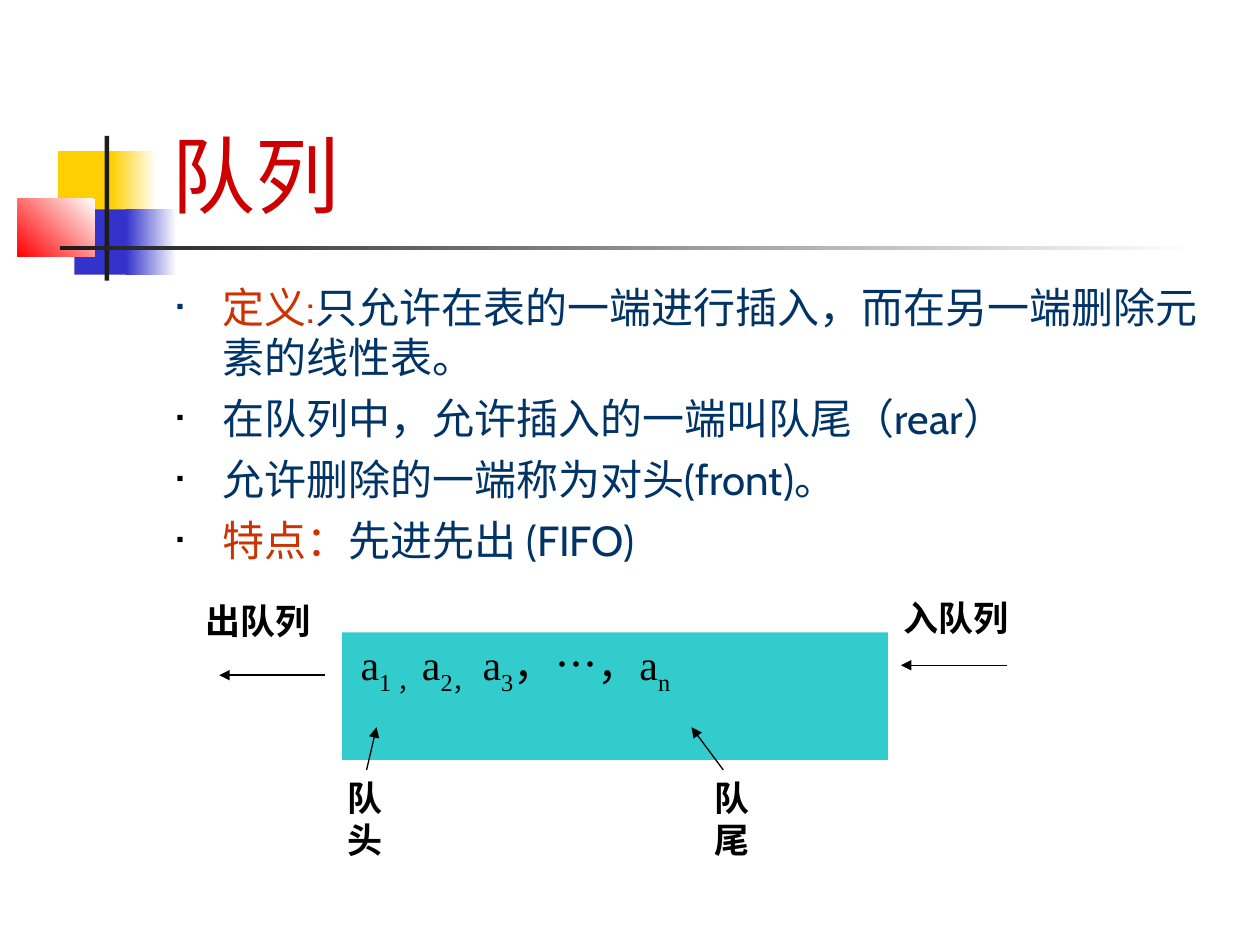
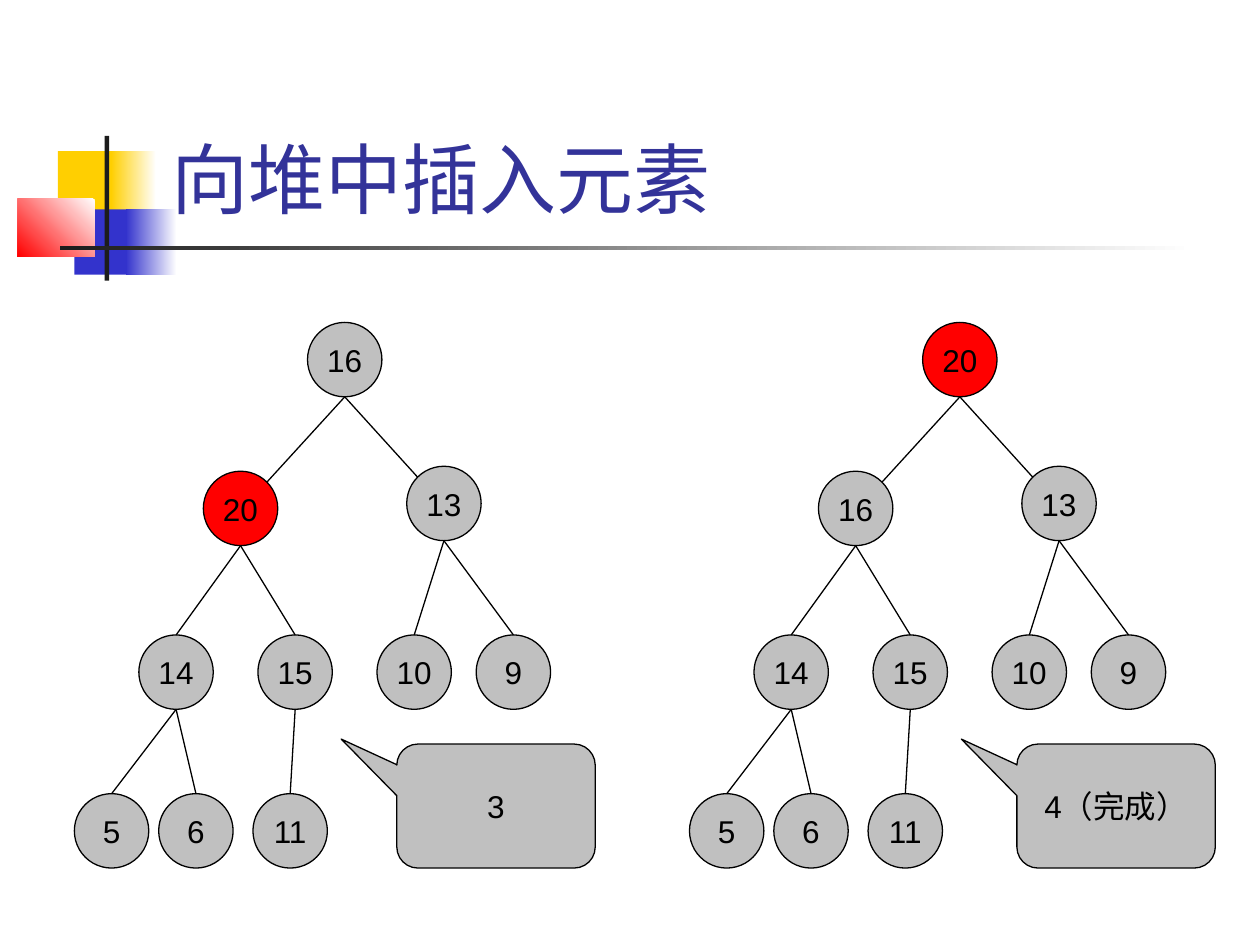
"""Build two data-structure slides: the queue and insertion into a heap."""
from pptx import Presentation
from pptx.dml.color import RGBColor
from pptx.enum.shapes import MSO_CONNECTOR, MSO_SHAPE
from pptx.enum.text import MSO_ANCHOR, MSO_AUTO_SIZE, PP_ALIGN
from pptx.oxml.xmlchemy import OxmlElement
from pptx.util import Cm, Pt

RECT, OVAL = MSO_SHAPE.RECTANGLE, MSO_SHAPE.OVAL
CALLOUT = MSO_SHAPE.ROUNDED_RECTANGULAR_CALLOUT
STRAIGHT = MSO_CONNECTOR.STRAIGHT
TOP, MIDDLE, BOTTOM = MSO_ANCHOR.TOP, MSO_ANCHOR.MIDDLE, MSO_ANCHOR.BOTTOM
LEFT, CENTER = PP_ALIGN.LEFT, PP_ALIGN.CENTER
NO_FIT = MSO_AUTO_SIZE.NONE
TITLE_AND_BODY, TITLE_ONLY = 1, 5

COLORS = {
    "white": "FFFFFF", "black": "000000", "ink": "1C1C1C", "yellow": "FFCF01",
    "blue": "3333CC", "red": "FF0000", "crimson": "CC0000", "rust": "CC3300",
    "navy": "003366", "indigo": "333399", "teal": "33CCCC", "gray": "C0C0C0",
}
HEADING_FONT, QUEUE_FONT, HEAP_FONT = "Cabin", "Times New Roman", "Arial"
SUBSCRIPT = "-25000"

BAND = [
    ((1.17, 3.05, 1.22, 1.32), "yellow", None),
    ((2.24, 3.05, 0.91, 1.32), "yellow", 180),
    ((1.5, 4.22, 1.17, 1.32), "blue", None),
    ((2.54, 4.22, 1.02, 1.32), "blue", 180),
    ((0.36, 4.01, 1.55, 1.17), "red", 225),
    ((2.11, 2.74, 0.09, 2.92), "ink", None),
    ((1.22, 4.95, 22.86, 0.1), "ink", 180),
]

QUEUE_FACTS = [
    [("定义:", "rust"), ("只允许在表的一端进行插入，而在另一端删除元素的线性表。", "navy")],
    [("在队列中，允许插入的一端叫队尾（rear）", "navy")],
    [("允许删除的一端称为对头(front)。", "navy")],
    [("特点：", "rust"), ("先进先出 (FIFO)", "navy")],
]
QUEUE_ITEMS = [("a", False), ("1 ，", True), ("a", False), ("2， ", True),
               ("a", False), ("3", True), ("，…，a", False), ("n", True)]
QUEUE_LABELS = [
    ((3.89, 11.96, 2.74, 1.12), ["出队列"]),
    ((17.96, 11.91, 2.74, 1.12), ["入队列"]),
    ((6.76, 15.52, 1.14, 1.96), ["队", "头"]),
    ((14.15, 15.52, 1.07, 1.96), ["队", "尾"]),
]
QUEUE_ARROWS = [
    ((6.55, 13.61), (4.42, 13.61)), ((20.3, 13.41), (18.16, 13.41)),
    ((7.39, 15.52), (7.59, 14.66)), ((14.58, 15.52), (13.94, 14.66)),
]

NODE_SIZE = 1.5
NODE_SPOTS = [(6.2, 6.5), (4.1, 9.5), (8.2, 9.4), (2.8, 12.8), (5.2, 12.8),
              (7.6, 12.8), (9.6, 12.8), (1.5, 16), (3.2, 16), (5.1, 16)]
LOWER_KEYS = [14, 15, 10, 9, 5, 6, 11]
HEAP_STEPS = [(0, [16, 20, 13], 8, "3"), (12.4, [20, 16, 13], 20.5, "4（完成）")]
INSERTED_KEY = 20


class Deck:
    """Hold the shared style and the slide being filled."""

    def __init__(self):
        """Open a presentation of 10 by 7.5 inches."""
        self.prs = Presentation()
        self.prs.slide_width, self.prs.slide_height = Cm(25.4), Cm(19.05)
        self.slide = None

    def color(self, name):
        """Return a named colour."""
        return RGBColor.from_string(COLORS[name])

    def new_slide(self, layout):
        """Start a slide, dressing the master before the first one."""
        first = self.slide is None
        self.slide = self.prs.slides.add_slide(self.prs.slide_layouts[layout])
        if first:
            self.band()

    def band(self):
        """Put the coloured squares and rules on the master."""
        tree = self.prs.slide_master.shapes.element
        for order, (box, color, angle) in enumerate(BAND):
            piece = self.shape(RECT, box, color)
            if angle is not None:
                piece.fill.gradient()
                piece.fill.gradient_angle = angle
                for stop, name in zip(piece.fill.gradient_stops, ("white", color)):
                    stop.color.rgb = self.color(name)
            piece.element.nvSpPr.cNvPr.set("id", str(20 + order))
            tree.insert(2 + order, piece.element)

    def run(self, paragraph, text, font, size, color="black", bold=False):
        """Add one styled run."""
        run = paragraph.add_run()
        run.text = text
        run.font.name, run.font.size, run.font.bold = font, Pt(size), bold
        run.font.color.rgb = self.color(color)
        return run

    def place(self, holder, box):
        """Move a placeholder and return its text frame."""
        holder.left, holder.top, holder.width, holder.height = map(Cm, box)
        holder.text_frame.auto_size = NO_FIT
        return holder.text_frame

    def title(self, text, box, size, color):
        """Fill the title placeholder."""
        frame = self.place(self.slide.shapes.title, box)
        frame.vertical_anchor = BOTTOM
        frame.paragraphs[0].alignment = LEFT
        self.run(frame.paragraphs[0], text, HEADING_FONT, size, color)

    def bullet(self, paragraph, color):
        """Give a paragraph a small square bullet and a hanging indent."""
        props = paragraph._p.get_or_add_pPr()
        props.set("marL", str(Cm(0.94)))
        props.set("indent", str(Cm(-0.94)))
        tint = OxmlElement("a:buClr")
        rgb = OxmlElement("a:srgbClr")
        rgb.set("val", COLORS[color])
        tint.append(rgb)
        props.append(tint)
        for tag, key, value in (("a:buSzPct", "val", "50000"),
                                ("a:buFont", "typeface", HEAP_FONT),
                                ("a:buChar", "char", "▪")):
            part = OxmlElement(tag)
            part.set(key, value)
            props.append(part)

    def body(self, items, box):
        """Fill the body placeholder with bulleted items."""
        frame = self.place(self.slide.placeholders[1], box)
        for index, item in enumerate(items):
            line = frame.add_paragraph() if index else frame.paragraphs[0]
            line.space_before = Pt(6 if index else 0)
            self.bullet(line, "black" if index else "navy")
            for text, color in item:
                self.run(line, text, HEADING_FONT, 24, color)

    def shape(self, kind, box, fill, outline=None):
        """Add a filled preset shape."""
        shape = self.slide.shapes.add_shape(kind, *map(Cm, box))
        shape.shadow.inherit = False
        shape.fill.solid()
        shape.fill.fore_color.rgb = self.color(fill)
        if outline:
            shape.line.color.rgb = self.color(outline)
            shape.line.width = Pt(0.75)
        else:
            shape.line.fill.background()
        return shape

    def badge(self, kind, box, text, fill="gray"):
        """Add an outlined shape with centred text."""
        badge = self.shape(kind, box, fill, "black")
        frame = badge.text_frame
        frame.word_wrap = False
        frame.vertical_anchor = MIDDLE
        frame.paragraphs[0].alignment = CENTER
        self.run(frame.paragraphs[0], text, HEAP_FONT, 18)
        return badge

    def label(self, box, lines):
        """Add a bold label, one paragraph a line."""
        frame = self.slide.shapes.add_textbox(*map(Cm, box)).text_frame
        frame.word_wrap = True
        for index, text in enumerate(lines):
            line = frame.add_paragraph() if index else frame.paragraphs[0]
            self.run(line, text, QUEUE_FONT, 20, bold=True)

    def line(self, start, end, arrow=False):
        """Add a straight line, with an arrowhead at its end if asked."""
        line = self.slide.shapes.add_connector(STRAIGHT, *map(Cm, start + end))
        line.line.color.rgb = self.color("black")
        line.line.width = Pt(0.75)
        if arrow:
            head = OxmlElement("a:tailEnd")
            head.set("type", "triangle")
            line.line._get_or_add_ln().append(head)
        line.element.spPr.append(OxmlElement("a:effectLst"))

    def queue(self, box, items):
        """Add the queue bar with its subscripted items."""
        frame = self.shape(RECT, box, "teal").text_frame
        frame.word_wrap = True
        frame.vertical_anchor = TOP
        frame.margin_left = Cm(0.37)
        frame.paragraphs[0].alignment = LEFT
        for text, lowered in items:
            run = self.run(frame.paragraphs[0], text, QUEUE_FONT, 24)
            if lowered:
                run._r.get_or_add_rPr().set("baseline", SUBSCRIPT)

    def heap(self, shift, keys):
        """Draw a binary heap whose keys are in level order."""
        radius = NODE_SIZE / 2
        slant = radius * 0.71
        spots = [(x + shift, y) for x, y in NODE_SPOTS]
        for (x, y), key in zip(spots, keys):
            fill = "red" if key == INSERTED_KEY else "gray"
            self.badge(OVAL, (x, y, NODE_SIZE, NODE_SIZE), str(key), fill)
        for child in range(1, len(spots)):
            parent_x, parent_y = spots[(child - 1) // 2]
            x, y = spots[child]
            if child <= 2:
                x += slant if child == 1 else -slant
                y += radius - slant
            self.line((parent_x + radius, parent_y + NODE_SIZE), (x + radius, y))

    def callout(self, left, text):
        """Add a step callout pointing up to the left."""
        callout = self.badge(CALLOUT, (left, 15, 4, 2.5), text)
        for index, value in enumerate((-0.78, -0.54, 0.17)):
            callout.adjustments[index] = value


def main():
    """Build both slides and save them."""
    deck = Deck()

    deck.new_slide(TITLE_AND_BODY)
    deck.title("队列", (3.2, 0.58, 21.64, 4.06), 48, "crimson")
    deck.body(QUEUE_FACTS, (3.3, 5.54, 21.59, 11.43))
    deck.queue((6.9, 12.75, 11, 2.57), QUEUE_ITEMS)
    for start, end in QUEUE_ARROWS:
        deck.line(start, end, arrow=True)
    for box, lines in QUEUE_LABELS:
        deck.label(box, lines)

    deck.new_slide(TITLE_ONLY)
    deck.title("向堆中插入元素", (3.2, 0.33, 21.64, 4.32), 44, "indigo")
    for shift, upper_keys, callout_left, step in HEAP_STEPS:
        deck.heap(shift, upper_keys + LOWER_KEYS)
        deck.callout(callout_left, step)

    deck.prs.save("out.pptx")


if __name__ == "__main__":
    main()
